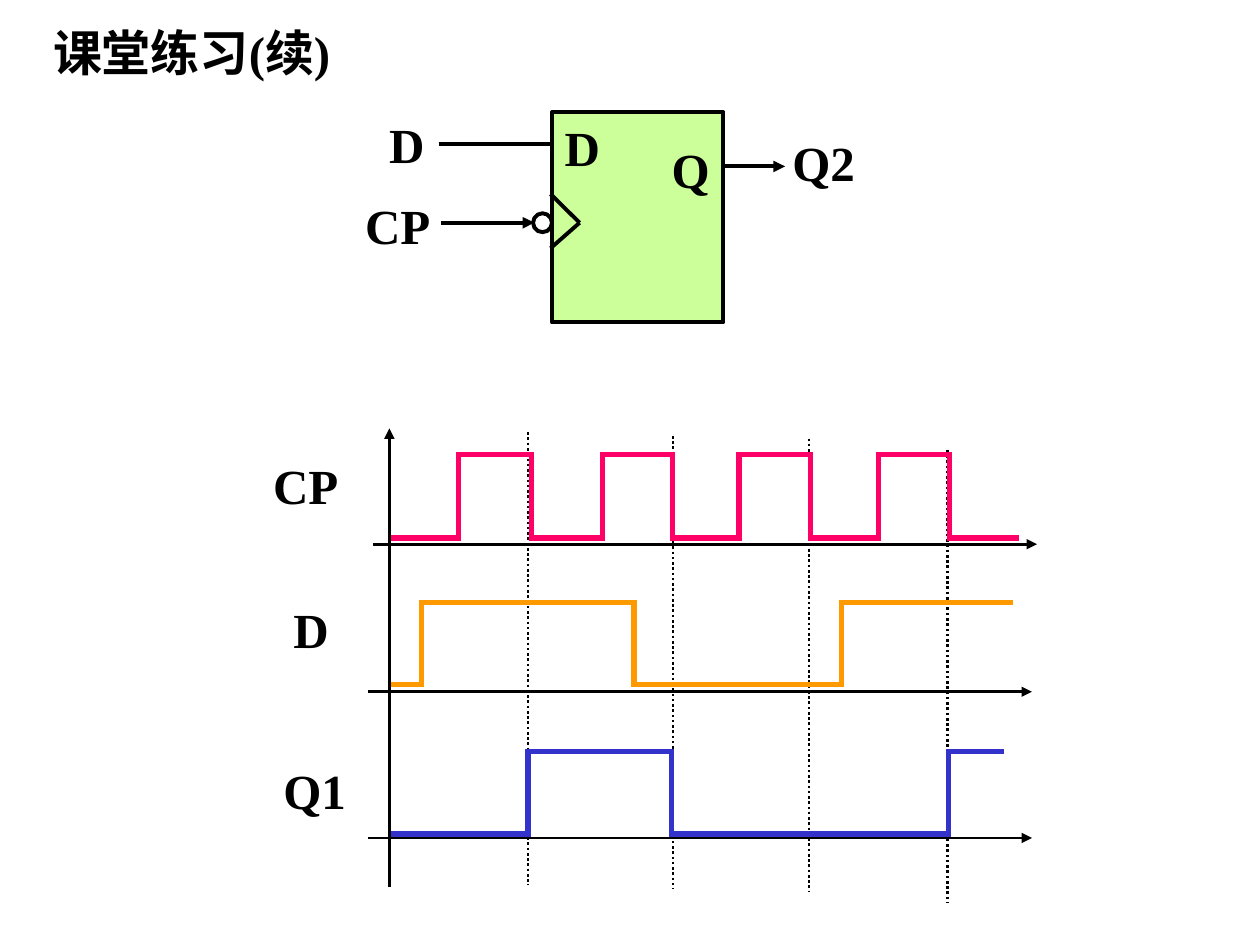
from itertools import pairwise

from lxml import etree
from pptx import Presentation
from pptx.dml.color import RGBColor
from pptx.enum.dml import MSO_LINE
from pptx.enum.shapes import MSO_CONNECTOR, MSO_SHAPE
from pptx.enum.text import MSO_ANCHOR, MSO_AUTO_SIZE, PP_ALIGN
from pptx.oxml.ns import qn
from pptx.util import Pt

STRAIGHT = MSO_CONNECTOR.STRAIGHT
RECTANGLE, OVAL = MSO_SHAPE.RECTANGLE, MSO_SHAPE.OVAL
DOTTED = MSO_LINE.ROUND_DOT
LEFT, CENTER = PP_ALIGN.LEFT, PP_ALIGN.CENTER
TOP, MIDDLE = MSO_ANCHOR.TOP, MSO_ANCHOR.MIDDLE
GROW = MSO_AUTO_SIZE.SHAPE_TO_FIT_TEXT

COLORS = {
    "ink": "000000",
    "paper": "FFFFFF",
    "body": "CCFF99",
    "clock": "FF0066",
    "data": "FF9900",
    "output": "3333CC",
}
FONT = {"name": "Times New Roman", "size": Pt(28), "bold": True}
MARGINS = {
    "margin_left": Pt(7.2),
    "margin_right": Pt(7.2),
    "margin_top": Pt(3.6),
    "margin_bottom": Pt(3.6),
}
LABEL_HEIGHT = 41
DIAGRAM_WIDTH = 2.25
AXIS_WIDTH = 1.5
WAVE_WIDTH = 3


def color(key):
    return RGBColor.from_string(COLORS[key])


def apply(target, values):
    for attribute, value in values.items():
        setattr(target, attribute, value)


def write(holder, wording, centered):
    frame = holder.text_frame
    apply(frame, MARGINS | {
        "auto_size": GROW,
        "word_wrap": not centered,
        "vertical_anchor": MIDDLE if centered else TOP,
    })
    paragraph = frame.paragraphs[0]
    paragraph.text = wording
    apply(paragraph, {"alignment": CENTER if centered else LEFT, "space_before": Pt(0)})
    apply(paragraph.font, FONT)
    paragraph.font.color.rgb = color("ink")


def add_label(slide, wording, x, y, width, centered=False):
    label = slide.shapes.add_textbox(Pt(x), Pt(y), Pt(width), Pt(LABEL_HEIGHT))
    write(label, wording, centered)


def add_line(slide, start, end, width, key="ink", arrow=False, dash=None):
    line = slide.shapes.add_connector(STRAIGHT, *map(Pt, start + end))
    line.line.color.rgb = color(key)
    line.line.width = Pt(width)
    if dash:
        line.line.dash_style = dash
    if arrow:
        etree.SubElement(line.line._get_or_add_ln(), qn("a:tailEnd"), type="triangle")
    etree.SubElement(line._element.spPr, qn("a:effectLst"))


def add_block(slide, preset, x, y, width, height, fill):
    block = slide.shapes.add_shape(preset, Pt(x), Pt(y), Pt(width), Pt(height))
    block.shadow.inherit = False
    block.fill.solid()
    block.fill.fore_color.rgb = color(fill)
    block.line.color.rgb = color("ink")
    block.line.width = Pt(DIAGRAM_WIDTH)


def place_title(slide, box):
    title = slide.shapes.title
    apply(title, dict(zip(("left", "top", "width", "height"), map(Pt, box))))
    write(title, "课堂练习(续)", True)


def draw_flip_flop(slide, box):
    left, top, width, height = box
    clock_y = top + 63.2
    add_block(slide, RECTANGLE, *box, "body")
    for start_x, end_x, y, arrow in (
        (-64.8, 0, 18, False),
        (-63.4, -10.1, 63.2, True),
        (width, width + 35.2, 31, True),
    ):
        add_line(slide, (left + start_x, top + y), (left + end_x, top + y),
                 DIAGRAM_WIDTH, arrow=arrow)
    for rise in (-16.4, 14.6):
        add_line(slide, (left - 0.8, clock_y + rise), (left + 15.8, clock_y), DIAGRAM_WIDTH)
    add_block(slide, OVAL, left - 10.8, clock_y - 5.4, 10.8, 10.8, "paper")
    for wording, x, y, label_width, centered in (
        ("D", 0, -0.7, 34.6, True),
        ("Q", 61.2, 12.2, 36, True),
        ("D", -100.1, -2.2, 41, False),
        ("CP", -113.8, 43.9, 52.6, False),
        ("Q2", 130.3, 8, 56.9, False),
    ):
        add_label(slide, wording, left + x, top + y, label_width, centered)


def draw_wave(slide, edges, low, high, key):
    overlap = WAVE_WIDTH / 2
    for step, (start_x, end_x) in enumerate(pairwise(edges)):
        level = high if step % 2 else low
        add_line(slide, (start_x, level), (end_x, level), WAVE_WIDTH, key)
    for x in edges[1:-1]:
        add_line(slide, (x, high - overlap), (x, low + overlap), WAVE_WIDTH, key)


def draw_timing(slide, box):
    left, top, width, height = box
    for x, y in ((79.2, 2.2), (162, 4.3), (239.7, 5.8), (318.9, 12.2)):
        add_line(slide, (left + x, top + y), (left + x, top + y + 259),
                 AXIS_WIDTH, dash=DOTTED)
    for x, y in ((-9.4, 66.2), (-12.3, 150.5), (-12.3, 234)):
        add_line(slide, (left + x, top + y), (left + x + width, top + y),
                 AXIS_WIDTH, arrow=True)
    add_line(slide, (left, top + height), (left, top), AXIS_WIDTH, arrow=True)

    clock_edges = (0.7, 39.6, 81.2, 121.7, 161.6, 199.8, 240.5, 279.3, 320, 360)
    for wording, x, y, label_width, edges, low, high, key in (
        ("CP", -73.5, 12.2, 54, clock_edges, 62.6, 15.1, "clock"),
        ("D", -61.9, 94.3, 48, (0.7, 18.2, 139.8, 258.5, 356.4), 146.2, 99.7, "data"),
        ("Q1", -67.7, 186.5, 54, (0.7, 79.2, 161.4, 319.7, 351.3), 231.8, 184.7, "output"),
    ):
        add_label(slide, wording, left + x, top + y, label_width)
        draw_wave(slide, [left + edge for edge in edges], top + low, top + high, key)


def main():
    deck = Presentation()
    apply(deck, {"slide_width": Pt(720), "slide_height": Pt(540)})
    slide = deck.slides.add_slide(deck.slide_layouts[5])
    place_title(slide, (13, 9.4, 193, 41))
    draw_flip_flop(slide, (315.4, 64.1, 98, 120.2))
    draw_timing(slide, (222.5, 244.8, 379.5, 262.1))
    deck.save("out.pptx")


if __name__ == "__main__":
    main()
